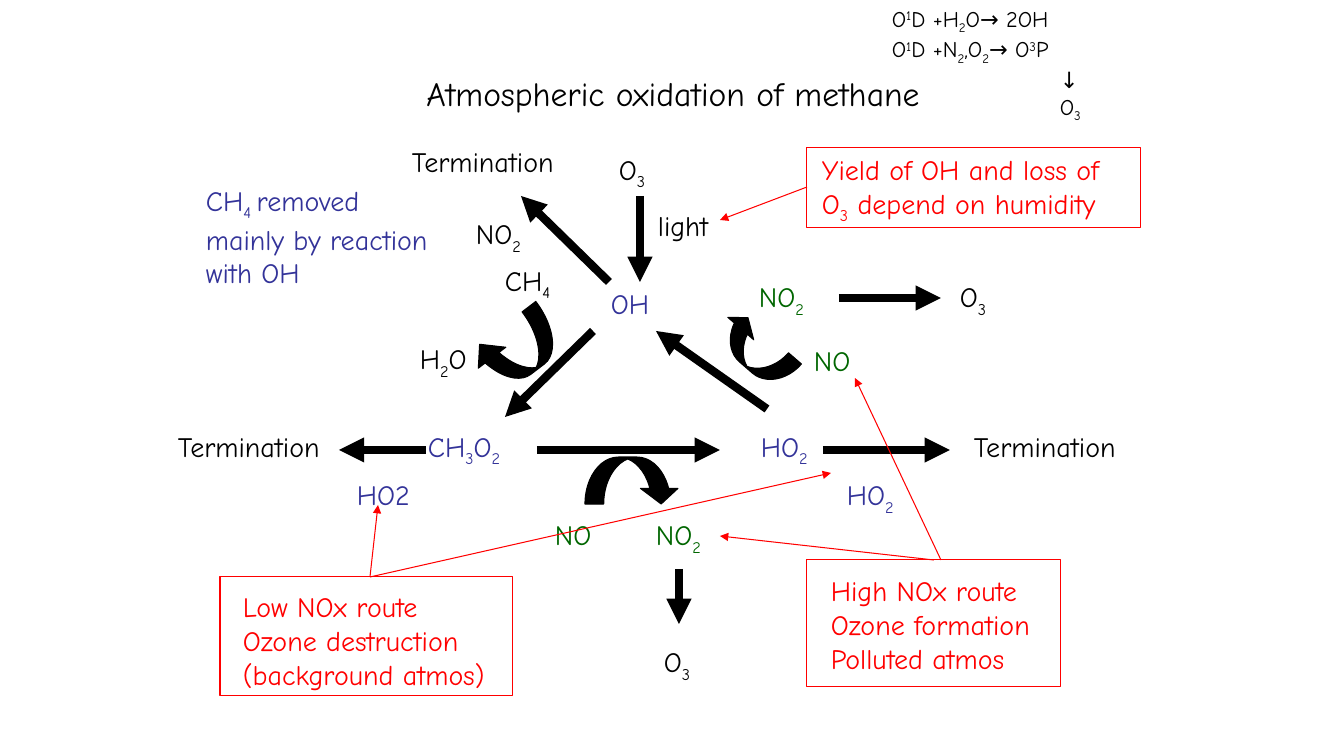
from pptx import Presentation
from pptx.dml.color import RGBColor
from pptx.enum.shapes import MSO_CONNECTOR, MSO_SHAPE
from pptx.enum.text import MSO_ANCHOR, MSO_AUTO_SIZE, PP_ALIGN
from pptx.oxml.ns import qn
from pptx.util import Pt
from lxml.etree import SubElement

PX = 914400 / 100.8
FONT = "Comic Neue"
COLORS = {"black": "000000", "blue": "333399", "green": "006600", "red": "FF0000"}
BASELINES = {"_": "-25000", "^": "30000"}

LABELS = [
    ("OH", "blue", 601, 282, 65),
    ("CH|_3|O|_2", "blue", 418, 425, 105),
    ("HO|_2", "blue", 751, 425, 77),
    ("HO|_2", "blue", 837, 473, 77),
    ("HO2", "blue", 347, 473, 82),
    ("CH|_4", "black", 495, 259, 71),
    ("H|_2|O", "black", 410, 337, 77),
    ("NO|_2", "black", 466, 212, 77),
    ("light", "black", 648, 204, 80),
    ("O|_3", "black", 609, 148, 54),
    ("O|_3", "black", 950, 275, 54),
    ("O|_3", "black", 654, 640, 54),
    ("Termination", "black", 402, 140, 177),
    ("Termination", "black", 168, 425, 177),
    ("Termination", "black", 964, 425, 177),
    ("NO", "green", 545, 513, 66),
    ("NO|_2", "green", 646, 513, 77),
    ("NO", "green", 804, 339, 66),
    ("NO|_2", "green", 749, 275, 77),
    ("CH|_4 |removed\nmainly by reaction\nwith OH", "blue", 196, 179, 257),
    ("Yield of OH and loss of\nO|_3| depend on humidity", "red", 812, 148, 333),
    ("Low NOx route\nOzone destruction\n(background atmos)", "red", 233, 585, 276),
    ("High NOx route\nOzone formation\nPolluted atmos", "red", 821, 569, 240),
]
REACTIONS = [
    (593, 331, 505, 417), (537, 450, 720, 450), (767, 409, 656, 331),
    (679, 569, 679, 624), (823, 450, 950, 450), (640, 196, 640, 282),
    (426, 450, 339, 450), (839, 298, 941, 298), (609, 282, 521, 196),
]
POINTERS = [
    (807, 187, 720, 220), (934, 560, 720, 536), (941, 560, 855, 378),
    (370, 577, 378, 505), (370, 577, 831, 473),
]
FRAMES = [(807, 148, 334, 80), (807, 560, 254, 127), (220, 577, 293, 119)]
CURVES = [
    (490, 306, 55, 88, 52.7, (0.314, 0.628, 0.333), False),
    (609, 433, 47, 95, 270, (0.4, 0.8, 0.333), False),
    (736, 306, 39, 88, 310.9, (0.44, 0.879, 0.333), True),
]


def emu(*lengths):
    """Turn px lengths into EMU."""
    return [round(n * PX) for n in lengths]


def rgb(name):
    """Look up a colour by name."""
    return RGBColor.from_string(COLORS[name])


def add_formula(p, text, size, color):
    """Add runs split at |, where _ lowers and ^ raises a part."""
    for part in text.split("|"):
        r = p.add_run()
        r.text = part.lstrip("_^")
        r.font.name, r.font.size = FONT, Pt(size)
        r.font.color.rgb = rgb(color)
        if part[0] in BASELINES:
            r.font._element.set("baseline", BASELINES[part[0]])


def add_label(s, text, color, x, y, w, size=20):
    """Add a text box with one paragraph per line of text."""
    lines = text.split("\n")
    tf = s.shapes.add_textbox(*emu(x, y, w, 10 + 34 * len(lines))).text_frame
    tf.word_wrap = False
    tf.auto_size = MSO_AUTO_SIZE.SHAPE_TO_FIT_TEXT
    for i, line in enumerate(lines):
        p = tf.add_paragraph() if i else tf.paragraphs[0]
        add_formula(p, line, size, color)
    return tf


def add_title(s, text):
    """Add the centred slide title."""
    tf = add_label(s, text, "black", 68, 30, 1210, 24)
    tf.auto_size = MSO_AUTO_SIZE.NONE
    tf.word_wrap = True
    tf.vertical_anchor = MSO_ANCHOR.MIDDLE
    tf.paragraphs[0].alignment = PP_ALIGN.CENTER
    tf._parent.height = emu(126)[0]


def add_oxygen_note(s):
    """Add the reactions of excited oxygen, the last two lines indented."""
    text = "O|^1|D +H|_2|O→ 2OH\nO|^1|D +N|_2|,O|_2|→ O|^3|P\n↓\nO|_3"
    tf = add_label(s, text, "black", 882, 0, 222, 16)
    tf.word_wrap = True
    for p in tf.paragraphs[2:]:
        p._p.get_or_add_pPr().set("marL", str(emu(168)[0]))


def add_arrow(s, ends, color, width):
    """Add a straight arrow with its head at the second end."""
    sp = s.shapes.add_connector(MSO_CONNECTOR.STRAIGHT, *emu(*ends))
    sp.line.color.rgb = rgb(color)
    sp.line.width = Pt(width)
    SubElement(sp.line._get_or_add_ln(), qn("a:tailEnd"), type="triangle")
    SubElement(sp._element.spPr, qn("a:effectLst"))


def add_outlined(s, kind, box, color):
    """Add a preset shape with a thin line and no shadow."""
    sp = s.shapes.add_shape(kind, *emu(*box))
    sp.shadow.inherit = False
    sp.line.color.rgb = rgb(color)
    sp.line.width = Pt(0.75)
    return sp


def add_curve(s, x, y, w, h, rotation, adjustments, flipped):
    """Add a solid curved arrow."""
    sp = add_outlined(s, MSO_SHAPE.CURVED_LEFT_ARROW, (x, y, w, h), "black")
    sp.fill.solid()
    sp.fill.fore_color.rgb = rgb("black")
    sp.rotation = rotation
    for i, value in enumerate(adjustments):
        sp.adjustments[i] = value
    if flipped:
        for side in ("flipH", "flipV"):
            sp._element.spPr.xfrm.set(side, "1")


def main():
    """Build the slide and save it."""
    prs = Presentation()
    prs.slide_width, prs.slide_height = emu(1344, 756)
    s = prs.slides.add_slide(prs.slide_layouts[6])
    add_title(s, "Atmospheric oxidation of methane")
    for ends in REACTIONS:
        add_arrow(s, ends, "black", 6)
    for curve in CURVES:
        add_curve(s, *curve)
    for label in LABELS:
        add_label(s, *label)
    add_oxygen_note(s)
    for box in FRAMES:
        add_outlined(s, MSO_SHAPE.RECTANGLE, box, "red").fill.background()
    for ends in POINTERS:
        add_arrow(s, ends, "red", 0.75)
    prs.save("out.pptx")


if __name__ == "__main__":
    main()
